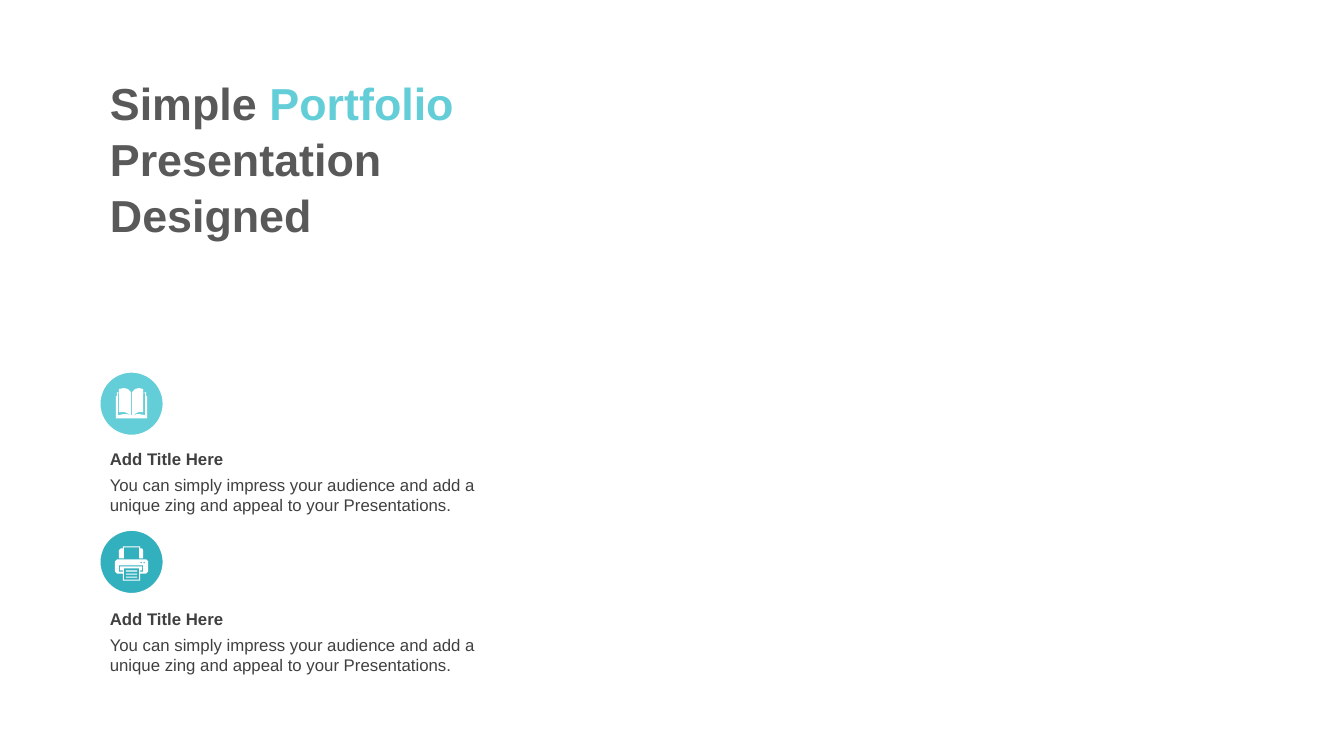
from dataclasses import dataclass

from pptx import Presentation
from pptx.dml.color import RGBColor
from pptx.enum.shapes import MSO_SHAPE as Preset
from pptx.enum.text import MSO_ANCHOR as Anchor, MSO_AUTO_SIZE as AutoSize, PP_ALIGN as Align
from pptx.util import Pt

PX = 9144  # EMU per px, 100 px to the inch
LEFT = 99
WHITE, AQUA, TEAL = "FFFFFF", "64CED8", "32B0BE"
TITLE_GREY, TEXT_GREY = "595959", "404040"

Point = tuple[int, int]
Outline = list[Point]

FRAME_FORMAT = {
    "word_wrap": True,
    "auto_size": AutoSize.SHAPE_TO_FIT_TEXT,
    "vertical_anchor": Anchor.TOP,
    "margin_left": 10 * PX,
    "margin_right": 10 * PX,
    "margin_top": 5 * PX,
    "margin_bottom": 5 * PX,
}


@dataclass
class Feature:
    badge_top: int
    heading_top: int
    body_top: int
    color: str
    icon: list[Outline]
    heading: str = "Add Title Here"
    body: str = ("You can simply impress your audience and add a "
                 "unique zing and appeal to your Presentations.")


def box(left: int, top: int, right: int, bottom: int) -> Outline:
    return [(left, top), (right, top), (right, bottom), (left, bottom)]


def diamond(x: int, y: int) -> Outline:
    return [(x, y - 1), (x + 1, y), (x, y + 1), (x - 1, y)]


BOOK = [[
    # Right page
    (130, 412), (131, 412), (135, 411), (139, 411), (144, 412), (144, 390),
    (142, 390), (142, 409), (137, 409), (131, 412), (131, 389), (134, 386),
    (138, 385), (142, 386), (142, 390),
    # Cover
    (145, 389), (145, 393), (146, 393), (146, 415), (115, 415), (115, 393),
    (116, 393), (116, 389), (118, 390),
    # Left page
    (118, 386), (123, 385), (127, 386), (130, 389), (130, 412), (124, 409),
    (118, 409), (118, 390), (117, 390), (117, 412), (122, 411), (126, 411),
]]

PRINTER = [
    # Body with the printed sheet
    [(116, 555), (145, 555), (147, 557), (147, 567), (145, 569), (139, 569),
     (139, 576), (122, 576), (122, 569), (116, 569), (114, 567), (114, 557)],
    # Slot
    [(118, 561), (142, 561), (142, 567), (139, 567), (139, 566), (141, 566),
     (141, 562), (119, 562), (119, 566), (122, 566), (122, 567), (118, 567)],
    # Sheet, its lines and the two buttons
    box(123, 564, 138, 575),
    *[box(125, top, 136, top + 1) for top in (566, 569, 572)],
    *[diamond(x, 558) for x in (140, 143)],
    # Feeder
    [(122, 542), (139, 542), (139, 544), (141, 544), (142, 546), (142, 554),
     (138, 554), (138, 543), (123, 543), (123, 554), (118, 554), (118, 546),
     (120, 544), (122, 544)],
]

FEATURES = [
    Feature(369, 440, 466, AQUA, BOOK),
    Feature(526, 599, 625, TEAL, PRINTER),
]


def rgb(color: str) -> RGBColor:
    return RGBColor.from_string(color)


def place(shape, left: int, top: int, width: int, height: int) -> None:
    bounds = {"left": left, "top": top, "width": width, "height": height}
    for name, value in bounds.items():
        setattr(shape, name, value * PX)


def format_frame(frame) -> None:
    for name, value in FRAME_FORMAT.items():
        setattr(frame, name, value)


def add_run(paragraph, text: str, size: int, color: str, bold: bool) -> None:
    run = paragraph.add_run()
    run.text = text
    font_format = {"name": "Arial", "size": Pt(size), "bold": bold}
    for name, value in font_format.items():
        setattr(run.font, name, value)
    run.font.color.rgb = rgb(color)


def fill_title(title) -> None:
    place(title, LEFT, 67, 371, 172)
    frame = title.text_frame
    format_frame(frame)
    lines = [
        [("Simple ", TITLE_GREY), ("Portfolio", AQUA)],
        [("Presentation Designed", TITLE_GREY)],
    ]
    for index, line in enumerate(lines):
        paragraph = frame.add_paragraph() if index else frame.paragraphs[0]
        paragraph.alignment = Align.LEFT
        paragraph.line_spacing = 1.05
        for text, color in line:
            add_run(paragraph, text, 32, color, True)


def add_text(shapes, text: str, top: int, height: int, bold: bool) -> None:
    bounds = [value * PX for value in (LEFT, top, 421, height)]
    frame = shapes.add_textbox(*bounds).text_frame
    format_frame(frame)
    add_run(frame.paragraphs[0], text, 12, TEXT_GREY, bold)


def paint(shape, color: str) -> None:
    shape.shadow.inherit = False
    shape.fill.solid()
    shape.fill.fore_color.rgb = rgb(color)


def add_badge(shapes, top: int, color: str) -> None:
    bounds = [value * PX for value in (LEFT, top, 63, 63)]
    badge = shapes.add_shape(Preset.OVAL, *bounds)
    paint(badge, color)
    badge.line.color.rgb = rgb(WHITE)
    badge.line.width = Pt(1)


def add_icon(shapes, outlines: list[Outline]) -> None:
    builder = shapes.build_freeform(*outlines[0][0], scale=PX)
    for index, (start, *rest) in enumerate(outlines):
        if index:
            builder.move_to(*start)
        builder.add_line_segments(rest, close=True)
    icon = builder.convert_to_shape()
    paint(icon, WHITE)
    icon.line.fill.background()


def main() -> None:
    deck = Presentation()
    deck.slide_width, deck.slide_height = 1333 * PX, 750 * PX
    slide = deck.slides.add_slide(deck.slide_layouts[5])
    shapes = slide.shapes

    # Title
    fill_title(shapes.title)

    # Features
    for feature in FEATURES:
        add_badge(shapes, feature.badge_top, feature.color)
        add_text(shapes, feature.body, feature.body_top, 50, False)
        add_text(shapes, feature.heading, feature.heading_top, 30, True)
        add_icon(shapes, feature.icon)

    deck.save("out.pptx")


if __name__ == "__main__":
    main()
